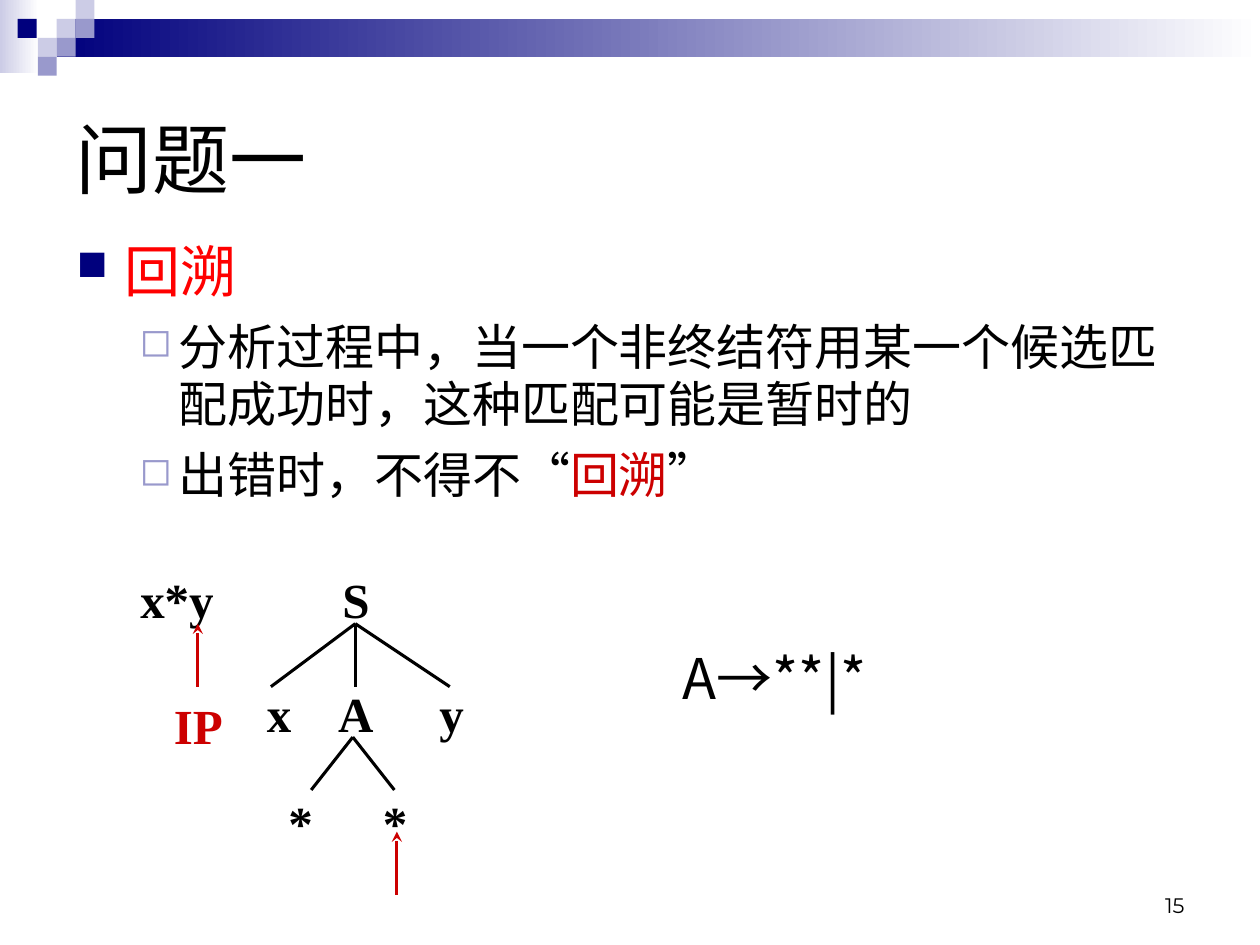
from lxml.etree import SubElement as Sub
from pptx import Presentation
from pptx.dml.color import RGBColor
from pptx.enum.shapes import MSO_CONNECTOR as CONN, MSO_SHAPE as SHAPE
from pptx.enum.text import MSO_ANCHOR as ANCHOR, PP_ALIGN as ALIGN
from pptx.oxml.ns import qn
from pptx.util import Pt

PX = 9144
SANS, SERIF, NUM = "Noto Sans CJK SC", "Times New Roman", "Montserrat"
BLACK, RED, CRIMSON = "000000", "FF0000", "CC0000"
NAVY, VIOLET, PALE, WHITE = "00007D", "9999CC", "CCCCE6", "FFFFFF"
NODE_W, NODE_H = 83, 50


def px(*values):
    """Turn px lengths into EMU."""
    return [v * PX for v in values]


def rgb(value):
    """Turn a hex string into a colour."""
    return RGBColor.from_string(value)


def set_all(target, values):
    """Set attributes from a dict."""
    for name, value in values.items():
        setattr(target, name, value)


def add_run(p, text, size, color, font=SANS, bold=False):
    """Add a run with one face for Latin and East Asian text."""
    r = p.add_run()
    r.text = text
    set_all(r.font, {"size": Pt(size), "name": font, "bold": bold})
    r.font.color.rgb = rgb(color)
    Sub(r.font._element, qn("a:ea"), typeface=font)


def add_box(s, box, anchor=ANCHOR.TOP, wrap=True):
    """Add an empty text box and return its frame."""
    tf = s.shapes.add_textbox(*px(*box)).text_frame
    set_all(tf, {"word_wrap": wrap, "vertical_anchor": anchor})
    return tf


def add_label(s, box, text, size, color=BLACK, font=SANS, bold=False,
              anchor=ANCHOR.TOP, wrap=True, **form):
    """Add a one-paragraph text box."""
    p = add_box(s, box, anchor, wrap).paragraphs[0]
    set_all(p, form)
    add_run(p, text, size, color, font, bold)


def add_rect(s, box, *colors):
    """Add a borderless rectangle, solid or with a gradient to the right."""
    sp = s.shapes.add_shape(SHAPE.RECTANGLE, *px(*box))
    sp.shadow.inherit = False
    sp.line.fill.background()
    if len(colors) == 1:
        sp.fill.solid()
        sp.fill.fore_color.rgb = rgb(colors[0])
        return
    sp.fill.gradient()
    sp.fill.gradient_angle = 0
    for stop, color, position in zip(sp.fill.gradient_stops, colors, (0, 1)):
        stop.color.rgb = rgb(color)
        stop.position = position


def add_line(s, start, end, color=BLACK, arrow=False):
    """Add a straight line, with an optional arrowhead at its end."""
    c = s.shapes.add_connector(CONN.STRAIGHT, *px(*start, *end))
    c.line.width = Pt(1.75)
    c.line.color.rgb = rgb(color)
    if arrow:
        Sub(c.line._get_or_add_ln(), qn("a:tailEnd"), type="stealth")
    Sub(c._element.spPr, qn("a:effectLst"))


def add_bullet(p, char, color, percent, left, hang):
    """Give a paragraph a hanging bullet."""
    pPr = p._p.get_or_add_pPr()
    pPr.set("marL", str(left * PX))
    pPr.set("indent", str(-hang * PX))
    Sub(Sub(pPr, qn("a:buClr")), qn("a:srgbClr"), val=color)
    Sub(pPr, qn("a:buSzPct"), val=str(percent * 1000))
    Sub(pPr, qn("a:buFont"), typeface="OpenSymbol")
    Sub(pPr, qn("a:buChar"), char=char)


def draw_banner(s, x, y, w):
    """Draw the gradient bar and its mosaic of squares."""
    add_rect(s, (x, y, 31, 58), PALE, WHITE)
    add_rect(s, (x + 45, y + 15, w - 45, 30), NAVY, WHITE)
    tiles = [(45, 15, PALE), (60, 0, PALE), (60, 15, VIOLET), (30, 30, PALE),
             (14, 15, NAVY), (45, 30, VIOLET), (30, 45, VIOLET)]
    for dx, dy, color in tiles:
        add_rect(s, (x + dx, y + dy, 15, 15), color)


def draw_body(s, box):
    """Write the bulleted text."""
    top = (32, 42, ("■", NAVY, 75, 38, 38))
    sub = (28, 33, ("◻", VIOLET, 80, 81, 31))
    items = [
        (top, [("回溯", RED)]),
        (sub, [("分析过程中，当一个非终结符用某一个候选匹配成功时，"
                "这种匹配可能是暂时的", BLACK)]),
        (sub, [("出错时，不得不“", BLACK), ("回溯", CRIMSON), ("”", BLACK)]),
    ]
    tf = add_box(s, box)
    for i, ((size, spacing, bullet), runs) in enumerate(items):
        p = tf.add_paragraph() if i else tf.paragraphs[0]
        p.line_spacing = Pt(spacing)
        if i:
            p.level = 1
            p.space_before = Pt(7.5)
        add_bullet(p, *bullet)
        for text, color in runs:
            add_run(p, text, size, color)


def draw_tree(s, x, y):
    """Draw the input string, the parse tree and the pointers."""
    nodes = [("x*y", 42, 21, BLACK), ("IP", 59, 121, CRIMSON),
             ("S", 184, 21, BLACK), ("x", 123, 112, BLACK),
             ("A", 184, 112, BLACK), ("y", 260, 112, BLACK),
             ("*", 140, 198, BLACK), ("*", 215, 198, BLACK)]
    for text, cx, cy, color in nodes:
        box = (x + cx - NODE_W // 2, y + cy - NODE_H // 2, NODE_W, NODE_H)
        add_label(s, box, text, 28, color, SERIF, True, ANCHOR.MIDDLE, False,
                  alignment=ALIGN.CENTER)
    branches = [((184, 41), 91, (117, 184, 259)), ((182, 131), 173, (149, 215))]
    for (px_x, px_y), bottom, ends in branches:
        for end in ends:
            add_line(s, (x + px_x, y + px_y), (x + end, y + bottom))
    for dx, dy in [(59, 41), (217, 206)]:
        add_line(s, (x + dx, y + dy + 50), (x + dx, y + dy), CRIMSON, True)


def draw_slide(s, w, h):
    """Place every region of the slide."""
    draw_banner(s, 0, 0, w)
    add_label(s, (w - 283, h - 67, 233, 50), "15", 12, font=NUM,
              anchor=ANCHOR.BOTTOM, alignment=ALIGN.RIGHT)
    draw_body(s, (51, 178, 913, 475))
    add_label(s, (50, 50, 900, 150), "问题一", 44, anchor=ANCHOR.MIDDLE)
    draw_tree(s, 98, 454)
    add_label(s, (532, 501, 184, 64), "A→**|*", 32, wrap=False,
              line_spacing=Pt(42))


def main():
    """Build and save the presentation."""
    prs = Presentation()
    w, h = 1000, 750
    prs.slide_width, prs.slide_height = px(w, h)
    draw_slide(prs.slides.add_slide(prs.slide_layouts[6]), w, h)
    prs.save("out.pptx")


if __name__ == "__main__":
    main()
